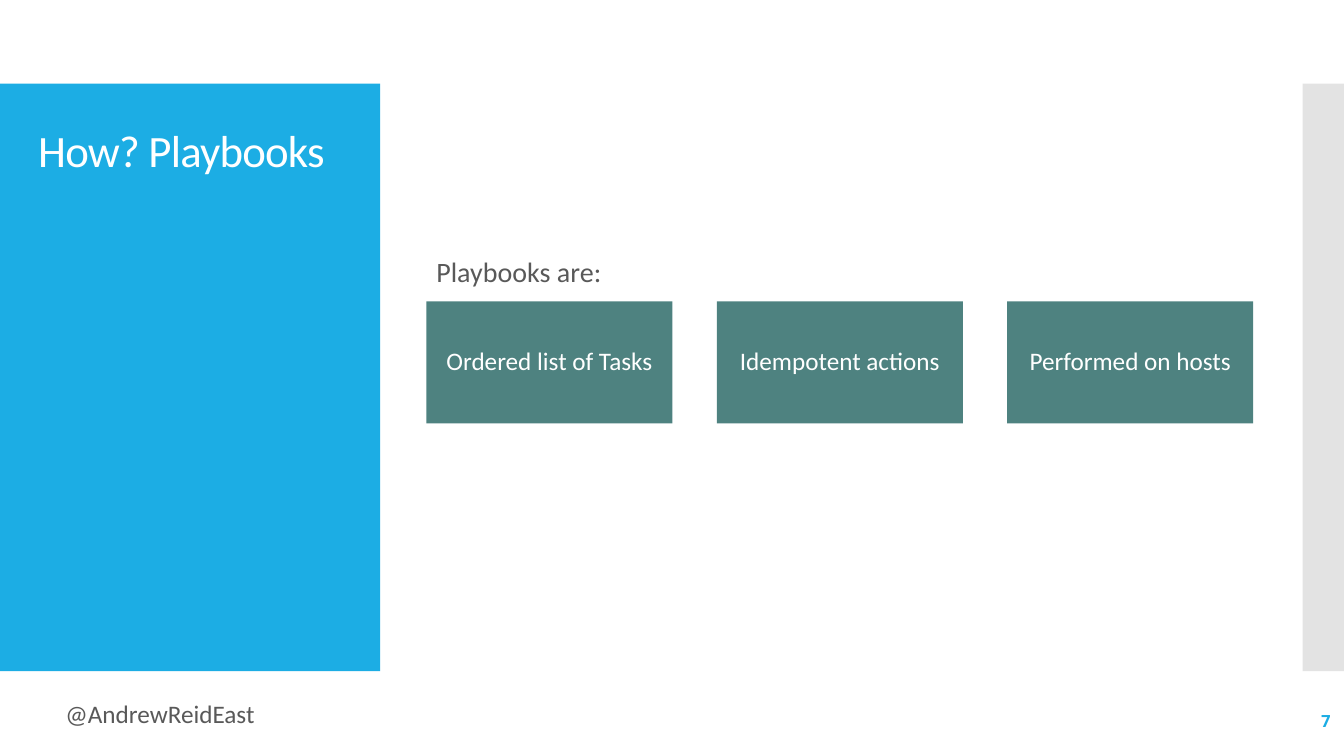
from lxml import etree
from pptx import Presentation
from pptx.dml.color import RGBColor
from pptx.enum.shapes import MSO_SHAPE
from pptx.enum.text import MSO_ANCHOR as ANCHOR, PP_ALIGN as ALIGN
from pptx.oxml.ns import qn
from pptx.util import Inches, Pt

BLUE, TEAL, GREY = "1CADE4", "4E8280", "C8C8C8"
WHITE, TEXT = "FFFFFF", "595959"


def rgb(color):
    return RGBColor.from_string(color)


def write(s, text, color, size, align=ALIGN.LEFT, anchor=ANCHOR.TOP,
          wrap=True, line_spacing=1.0, name="Calibri", bold=False, spacing=None):
    """Put one formatted paragraph in a shape; spacing is in points."""
    tf = s.text_frame
    tf.word_wrap = wrap
    tf.vertical_anchor = anchor
    p = tf.paragraphs[0]
    p.alignment = align
    p.line_spacing = line_spacing
    r = p.add_run()
    r.text = text
    for key, value in {"name": name, "size": Pt(size), "bold": bold}.items():
        setattr(r.font, key, value)
    r.font.color.rgb = rgb(color)
    if spacing is not None:
        r.font._element.set("spc", str(round(spacing * 100)))


def add_box(sp, x, y, w, h, fill, opacity=100):
    s = sp.add_shape(MSO_SHAPE.RECTANGLE, Inches(x), Inches(y), Inches(w), Inches(h))
    s.shadow.inherit = False
    s.line.fill.background()
    s.fill.solid()
    s.fill.fore_color.rgb = rgb(fill)
    if opacity < 100:
        color = s._element.spPr.find(qn("a:solidFill"))[0]
        etree.SubElement(color, qn("a:alpha"), val=str(opacity * 1000))
    return s


def add_text(sp, x, y, w, h, text, color, size, **format_values):
    s = sp.add_textbox(Inches(x), Inches(y), Inches(w), Inches(h))
    write(s, text, color, size, **format_values)


def main():
    prs = Presentation()
    prs.slide_width, prs.slide_height = Inches(13.33), Inches(7.5)
    sp = prs.slides.add_slide(prs.slide_layouts[6]).shapes

    add_box(sp, 0, 0.83, 3.77, 5.83, BLUE)
    add_box(sp, 12.92, 0.83, 0.41, 5.83, GREY, opacity=50)
    add_text(sp, 0.28, 1.23, 3.22, 5.03, "How? Playbooks", WHITE, 32,
             line_spacing=0.9, spacing=-0.6)

    left, pitch = 4.23, 2.88
    features = ["Ordered list of Tasks", "Idempotent actions", "Performed on hosts"]
    for i, feature in enumerate(features):
        s = add_box(sp, left + i * pitch, 2.99, 2.44, 1.21, TEAL)
        write(s, feature, WHITE, 18, align=ALIGN.CENTER, anchor=ANCHOR.MIDDLE,
              line_spacing=0.9)
    add_text(sp, left, 2.51, 8, 0.48, "Playbooks are:", TEXT, 20, line_spacing=0.9)

    add_text(sp, 11.63, 6.95, 1.67, 0.4, "7", BLUE, 12, align=ALIGN.RIGHT,
             anchor=ANCHOR.MIDDLE, name="Noto Sans Mono", bold=True)
    add_text(sp, 0.55, 6.88, 2.19, 0.4, "@AndrewReidEast", TEXT, 18, wrap=False)
    prs.save("out.pptx")


if __name__ == "__main__":
    main()
